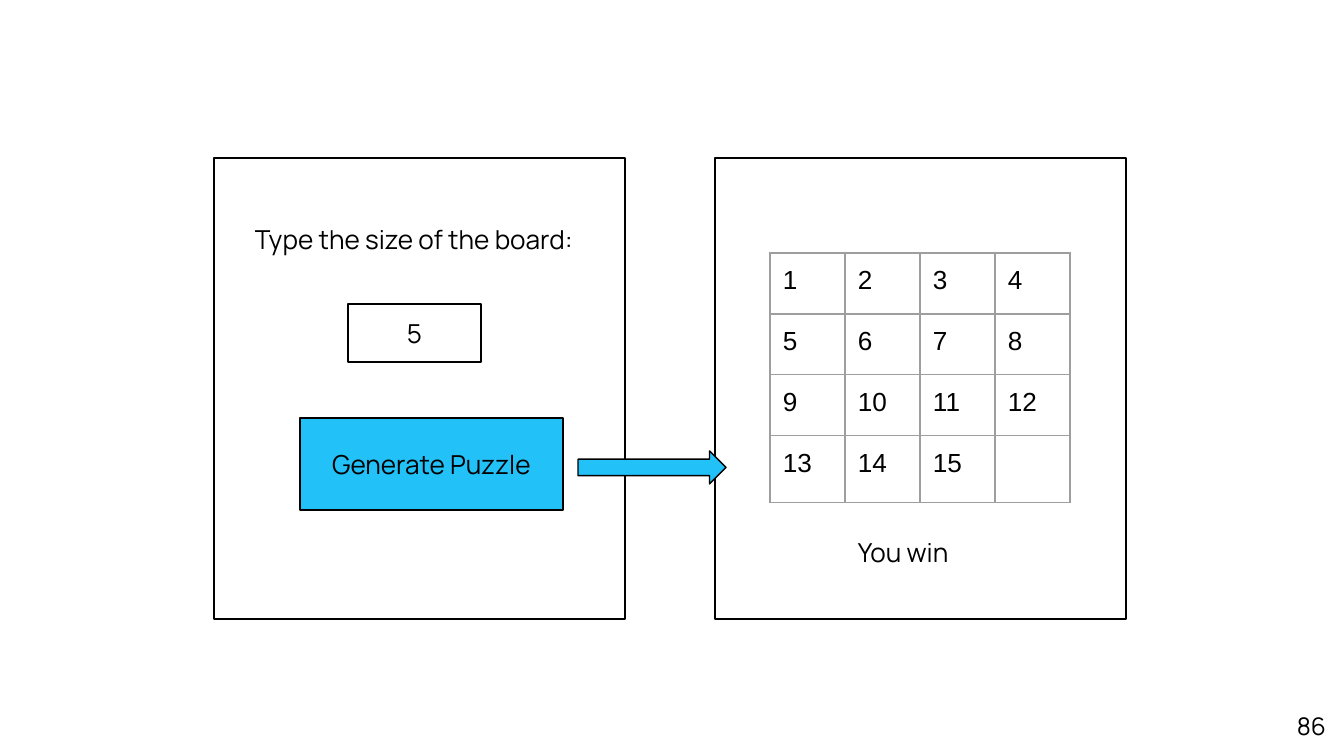
from pptx import Presentation
from pptx.dml.color import RGBColor
from pptx.enum.shapes import MSO_SHAPE as SHAPE
from pptx.enum.text import MSO_ANCHOR as ANCHOR, MSO_AUTO_SIZE as AUTO_SIZE, PP_ALIGN as ALIGN
from pptx.oxml import parse_xml
from pptx.oxml.ns import nsdecls
from pptx.util import Pt

EMU_PER_PX = 914400 / 134.4
BLACK, WHITE, BLUE, GREY = "000000", "FFFFFF", "22C1F8", "9E9E9E"
INSET = 13
BOARD_SIZE = 4
CELL_WIDTH, CELL_HEIGHT, LAST_ROW_HEIGHT = 75, 61, 67
PANEL_TOP, PANEL_WIDTH, PANEL_HEIGHT = 158, 411, 461


def px(value):
    return round(value * EMU_PER_PX)


def color(value):
    return RGBColor.from_string(value)


def write(frame, text, size=14, font="Manrope", align=ALIGN.LEFT):
    paragraph = frame.paragraphs[0]
    paragraph.alignment = align
    run = paragraph.add_run()
    run.text = text
    for name, value in {"size": Pt(size), "name": font}.items():
        setattr(run.font, name, value)
    run.font.color.rgb = color(BLACK)


def set_margins(target):
    for side in ("left", "top", "right", "bottom"):
        setattr(target, f"margin_{side}", px(INSET))


def add_box(slide, box, fill=WHITE, text="", kind=SHAPE.RECTANGLE):
    shape = slide.shapes.add_shape(kind, *map(px, box))
    shape.shadow.inherit = False
    shape.fill.solid()
    shape.fill.fore_color.rgb = color(fill)
    shape.line.color.rgb = color(BLACK)
    shape.line.width = Pt(0.75)
    if text:
        frame = shape.text_frame
        set_margins(frame)
        frame.word_wrap = True
        frame.vertical_anchor = ANCHOR.MIDDLE
        write(frame, text, align=ALIGN.CENTER)


def add_label(slide, box, text, size=14, align=ALIGN.LEFT, auto_size=AUTO_SIZE.SHAPE_TO_FIT_TEXT):
    frame = slide.shapes.add_textbox(*map(px, box)).text_frame
    set_margins(frame)
    frame.word_wrap = True
    frame.auto_size = auto_size
    write(frame, text, size, align=align)


def add_borders(cell):
    """Draw all four sides of the cell; call before the fill is set."""
    properties = cell._tc.get_or_add_tcPr()
    for side in ("L", "R", "T", "B"):
        properties.append(parse_xml(
            f'<a:ln{side} {nsdecls("a")} w="{Pt(0.75)}"><a:solidFill>'
            f'<a:srgbClr val="{GREY}"/></a:solidFill></a:ln{side}>'))


def add_board(slide, left, top):
    """Solved sliding puzzle: numbers in order, last cell empty."""
    height = CELL_HEIGHT * (BOARD_SIZE - 1) + LAST_ROW_HEIGHT
    table = slide.shapes.add_table(
        BOARD_SIZE, BOARD_SIZE, px(left), px(top), px(CELL_WIDTH * BOARD_SIZE), px(height)).table
    table.first_row = table.horz_banding = False
    for column in table.columns:
        column.width = px(CELL_WIDTH)
    for row in table.rows:
        row.height = px(CELL_HEIGHT)
    table.rows[BOARD_SIZE - 1].height = px(LAST_ROW_HEIGHT)
    for number, cell in enumerate(table.iter_cells(), start=1):
        set_margins(cell)
        add_borders(cell)
        cell.fill.background()
        if number < BOARD_SIZE ** 2:
            write(cell.text_frame, str(number), font="Arial")


def main():
    presentation = Presentation()
    presentation.slide_width, presentation.slide_height = px(1344), px(756)
    slide = presentation.slides.add_slide(presentation.slide_layouts[6])

    add_label(slide, (1258, 698, 81, 58), "86", 13, ALIGN.RIGHT, AUTO_SIZE.NONE)

    for panel_left in (214, 715):
        add_box(slide, (panel_left, PANEL_TOP, PANEL_WIDTH, PANEL_HEIGHT))

    add_label(slide, (242, 210, 392, 59), "Type the size of the board:")
    add_box(slide, (348, 304, 133, 58), text="5")
    add_box(slide, (300, 418, 263, 92), BLUE, "Generate Puzzle")

    add_board(slide, 770, 253)
    add_label(slide, (845, 523, 133, 59), "You win")

    add_box(slide, (578, 451, 148, 33), BLUE, kind=SHAPE.RIGHT_ARROW)
    presentation.save("out.pptx")


if __name__ == "__main__":
    main()
